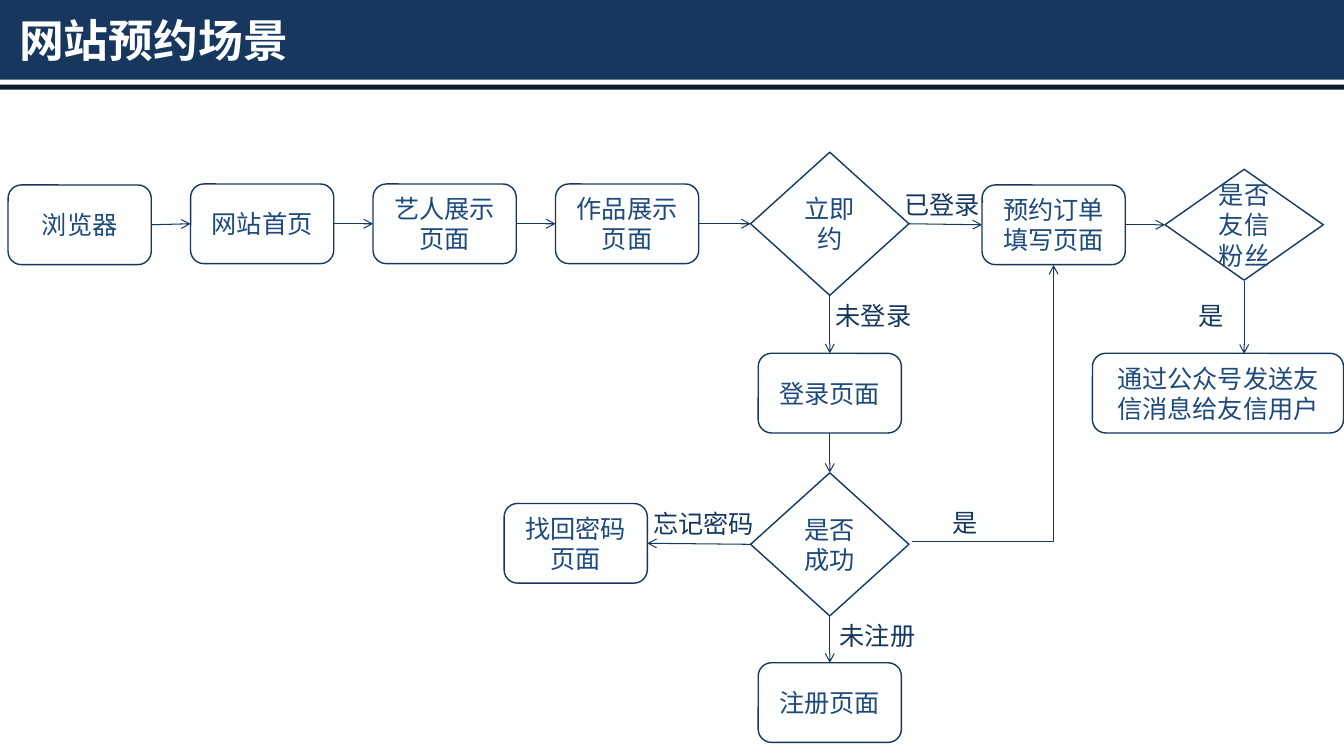
import pptx
import pptx.util
import pptx.dml.color
import pptx.enum.shapes
import pptx.enum.text
import pptx.oxml
import pptx.oxml.ns
import lxml.etree

Inches = pptx.util.Inches
Kind = pptx.enum.shapes.MSO_SHAPE
Link = pptx.enum.shapes.MSO_CONNECTOR
Align = pptx.enum.text.PP_ALIGN
Anchor = pptx.enum.text.MSO_ANCHOR
qn = pptx.oxml.ns.qn

FONT = "Noto Sans CJK SC"
NAVY, WHITE = "17375E", "FEFFFF"


def paint(color, code):
    color.rgb = pptx.dml.color.RGBColor.from_string(code)


def write(frame, text, code, align, size=18, bold=False):
    frame.word_wrap = True
    frame.text = text
    para = frame.paragraphs[0]
    para.alignment = align
    font = para.runs[0].font
    form = {"name": FONT, "size": pptx.util.Pt(size), "bold": bold}
    for key, value in form.items():
        setattr(font, key, value)
    paint(font.color, code)
    # East Asian typeface
    props = para.runs[0]._r.get_or_add_rPr()
    lxml.etree.SubElement(props, qn("a:ea")).set("typeface", FONT)


deck = pptx.Presentation()
deck.slide_width, deck.slide_height = Inches(13.33), Inches(7.5)
slide = deck.slides.add_slide(deck.slide_layouts[5])
shapes = slide.shapes
back = slide.background.fill
back.solid()
paint(back.fore_color, WHITE)

# Header bands, behind the title
bands = [(0, 0.79, NAVY), (0.84, 0.05, "0C1B2F")]
for row, (top, high, code) in enumerate(bands):
    band = shapes.add_shape(Kind.RECTANGLE, 0, Inches(top), Inches(13.33), Inches(high))
    band.shadow.inherit = False
    band.fill.solid()
    paint(band.fill.fore_color, code)
    band.line.fill.background()
    shapes._spTree.remove(band._element)
    shapes._spTree.insert(2 + row, band._element)

# Title
title = shapes.title
place = {"left": 0.09, "top": 0.09, "width": 13.02, "height": 0.6}
for key, value in place.items():
    setattr(title, key, Inches(value))
write(title.text_frame, "网站预约场景", WHITE, Align.LEFT, 32, True)
title.text_frame.vertical_anchor = Anchor.MIDDLE

# Flow steps: kind, centre x, centre y, width, height, text
PAGE, TEST = Kind.ROUNDED_RECTANGLE, Kind.DIAMOND
WIDE, HIGH = 1.42, 0.79
MID = 8.23
steps = {
    "start": (PAGE, 0.79, 2.23, WIDE, HIGH, "浏览器"),
    "home": (PAGE, 2.6, 2.22, WIDE, HIGH, "网站首页"),
    "artist": (PAGE, 4.41, 2.22, WIDE, HIGH, "艺人展示页面"),
    "works": (PAGE, 6.22, 2.22, WIDE, HIGH, "作品展示页面"),
    "book": (TEST, MID, 2.22, 1.57, 1.42, "立即约"),
    "order": (PAGE, 10.45, 2.23, WIDE, HIGH, "预约订单填写页面"),
    "fan": (TEST, 12.34, 2.23, 1.57, 1.1, "是否友信粉丝"),
    "login": (PAGE, MID, 3.9, WIDE, HIGH, "登录页面"),
    "passed": (TEST, MID, 5.4, 1.57, 1.42, "是否成功"),
    "signup": (PAGE, MID, 6.97, WIDE, HIGH, "注册页面"),
    "reset": (PAGE, 5.71, 5.39, WIDE, HIGH, "找回密码页面"),
    "notify": (PAGE, 12.08, 3.9, 2.49, HIGH, "通过公众号发送友信消息给友信用户"),
}
nodes = {}
for name, (kind, x, y, wide, high, text) in steps.items():
    node = shapes.add_shape(kind, Inches(x - wide / 2), Inches(y - high / 2),
                            Inches(wide), Inches(high))
    node.shadow.inherit = False
    node.fill.solid()
    paint(node.fill.fore_color, WHITE)
    paint(node.line.color, NAVY)
    node.line.width = pptx.util.Pt(1)
    write(node.text_frame, text, "1F497D", Align.CENTER)
    node.text_frame.vertical_anchor = Anchor.MIDDLE
    nodes[name] = node

# Straight arrows, glued to the steps by side
TOP, LEFT, DOWN, RIGHT = range(4)
row = ["start", "home", "artist", "works", "book", "order", "fan"]
col = ["book", "login", "passed", "signup"]
pairs = [(a, RIGHT, b, LEFT) for a, b in zip(row, row[1:])]
pairs += [(a, DOWN, b, TOP) for a, b in zip(col, col[1:])]
pairs += [("passed", LEFT, "reset", RIGHT)]
lines = []
for first, out, last, into in pairs:
    line = shapes.add_connector(Link.STRAIGHT, 0, 0, 0, 0)
    line.begin_connect(nodes[first], out)
    line.end_connect(nodes[last], into)
    lines.append(line)

# Arrow to the notice, upright and off the centre of its box
lines.append(shapes.add_connector(Link.STRAIGHT, Inches(12.34), Inches(2.79),
                                  Inches(12.34), Inches(3.51)))

# Elbow back to the order page, with a single corner
elbow = shapes.add_connector(Link.ELBOW, Inches(9.05), Inches(5.37),
                             Inches(10.45), Inches(2.63))
elbow._element.spPr.find(qn("a:prstGeom")).set("prst", "bentConnector2")
lines.append(elbow)

for line in lines:
    paint(line.line.color, NAVY)
    line.line.width = pptx.util.Pt(0.75)
    edge = line.line._get_or_add_ln()
    lxml.etree.SubElement(edge, qn("a:tailEnd")).set("type", "arrow")
    lxml.etree.SubElement(line._element.spPr, qn("a:effectLst"))

# Branch labels
labels = [
    (8.23, 6.1, 1.37, "未注册"),
    (9.35, 4.98, 0.65, "是"),
    (8.87, 1.83, 0.98, "已登录"),
    (6.38, 4.99, 1.26, "忘记密码"),
    (8.19, 2.93, 1.34, "未登录"),
    (11.79, 2.93, 0.55, "是"),
]
for x, y, wide, text in labels:
    label = shapes.add_textbox(Inches(x), Inches(y), Inches(wide), Inches(0.4))
    write(label.text_frame, text, "17365E", Align.LEFT)

deck.save("out.pptx")
